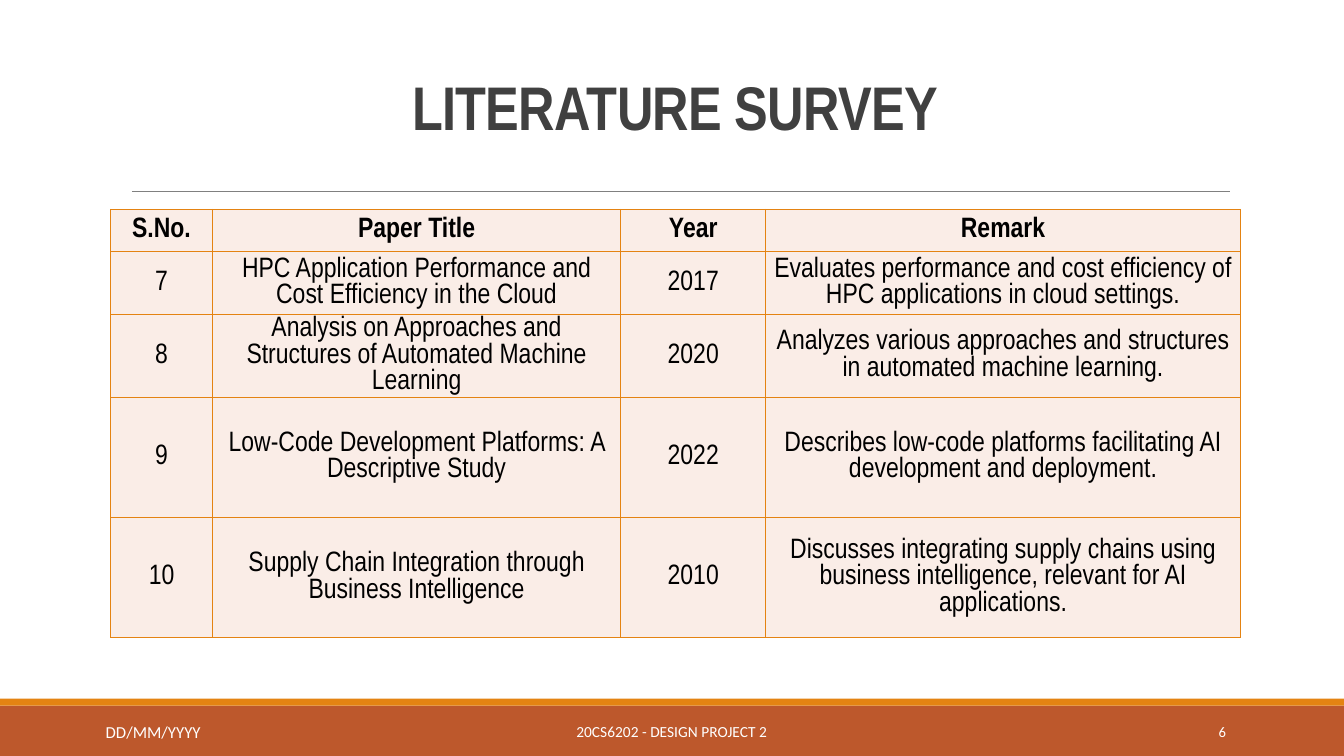
import pptx
import pptx.util
import pptx.dml.color
import pptx.enum.shapes
import pptx.enum.text
import pptx.oxml
import pptx.oxml.ns
import lxml.etree

Pt = pptx.util.Pt
ALIGN = pptx.enum.text.PP_ALIGN
MIDDLE = pptx.enum.text.MSO_ANCHOR.MIDDLE
TOP = pptx.enum.text.MSO_ANCHOR.TOP
ORANGE = "E48312"


def color(value):
    return pptx.dml.color.RGBColor.from_string(value)


def write(para, text, align, fill, **format_values):
    para.alignment = align
    span = para.add_run()
    span.text = text
    span.font.color.rgb = color(fill)
    for name, value in format_values.items():
        setattr(span.font, name, value)
    return span


deck = pptx.Presentation()
deck.slide_width, deck.slide_height = Pt(960), Pt(540)
page = deck.slides.add_slide(deck.slide_layouts[6])

# Footer bands
for top, height, fill in [(504, 36, "BD582C"), (499, 5, ORANGE)]:
    band = page.shapes.add_shape(
        pptx.enum.shapes.MSO_SHAPE.RECTANGLE, 0, Pt(top), Pt(960), Pt(height))
    band.shadow.inherit = False
    band.fill.solid()
    band.fill.fore_color.rgb = color(fill)
    band.line.fill.background()

# Rule under the title
rule = page.shapes.add_connector(
    pptx.enum.shapes.MSO_CONNECTOR.STRAIGHT, Pt(94.3), Pt(136.8), Pt(878.5), Pt(136.8))
rule.line.color.rgb = color("808080")
rule.line.width = Pt(0.5)
lxml.etree.SubElement(rule._element.spPr, pptx.oxml.ns.qn("a:effectLst"))

# Survey table
rows = [
    ("S.No.", "Paper Title", "Year", "Remark"),
    ("7", "HPC Application Performance and Cost Efficiency in the Cloud", "2017",
     "Evaluates performance and cost efficiency of HPC applications in cloud settings."),
    ("8", "Analysis on Approaches and Structures of Automated Machine Learning", "2020",
     "Analyzes various approaches and structures in automated machine learning."),
    ("9", "Low-Code Development Platforms: A Descriptive Study", "2022",
     "Describes low-code platforms facilitating AI development and deployment."),
    ("10", "Supply Chain Integration through Business Intelligence", "2010",
     "Discusses integrating supply chains using business intelligence, "
     "relevant for AI applications."),
]
widths = [72.8, 291.6, 103.6, 339.1]
heights = [30, 30, 37.4, 85.8, 85.8]
roomy_cells = [(1, 1), (4, 1)]
table = page.shapes.add_table(
    len(rows), len(widths), Pt(79), Pt(149.6), Pt(sum(widths)), Pt(sum(heights))).table
for column, width in zip(table.columns, widths):
    column.width = Pt(width)
for r, texts in enumerate(rows):
    table.rows[r].height = Pt(heights[r])
    for c, text in enumerate(texts):
        cell = table.cell(r, c)
        side, edge = (7.2, 3.6) if (r, c) in roomy_cells else (3, 1.4)
        cell.margin_left = cell.margin_right = Pt(side)
        cell.margin_top = cell.margin_bottom = Pt(edge)
        cell.vertical_anchor = MIDDLE
        write(cell.text_frame.paragraphs[0], text, ALIGN.CENTER, "000000",
              name="Arial Narrow", size=Pt(20), bold=r == 0)
        # Borders come before the fill in the cell properties
        properties = cell._tc.get_or_add_tcPr()
        for tag in ("a:lnL", "a:lnR", "a:lnT", "a:lnB"):
            border = lxml.etree.SubElement(properties, pptx.oxml.ns.qn(tag), w=str(Pt(1)))
            solid = lxml.etree.SubElement(border, pptx.oxml.ns.qn("a:solidFill"))
            lxml.etree.SubElement(solid, pptx.oxml.ns.qn("a:srgbClr"), val=ORANGE)
        cell.fill.solid()
        cell.fill.fore_color.rgb = color("FAEDE7")

# Title and footer texts
labels = [
    ("LITERATURE SURVEY", (86.4, 22.3, 792, 114.5), MIDDLE, ALIGN.CENTER, "404040",
     {"name": "Arial Narrow", "size": Pt(44), "bold": True}),
    ("20CS6202 - DESIGN PROJECT 2", (290.2, 508.3, 379.4, 28.8), MIDDLE, ALIGN.CENTER,
     "FFFFFF", {"name": "Calibri", "size": Pt(11)}),
    ("6", (779.8, 508.3, 103, 28.8), MIDDLE, ALIGN.RIGHT,
     "FFFFFF", {"name": "Calibri", "size": Pt(10.5)}),
    ("DD/MM/YYYY", (68.4, 512, 186.5, 21.6), TOP, ALIGN.LEFT,
     "FFFFFF", {"name": "Calibri", "size": Pt(12)}),
]
for text, place, anchor, align, fill, format_values in labels:
    box = page.shapes.add_textbox(*map(Pt, place))
    box.text_frame.word_wrap = True
    box.text_frame.vertical_anchor = anchor
    para = box.text_frame.paragraphs[0]
    span = write(para, text, align, fill, **format_values)
    if text == "LITERATURE SURVEY":
        para.line_spacing = 0.85
        span.font._element.set("spc", "-50")

deck.save("out.pptx")
